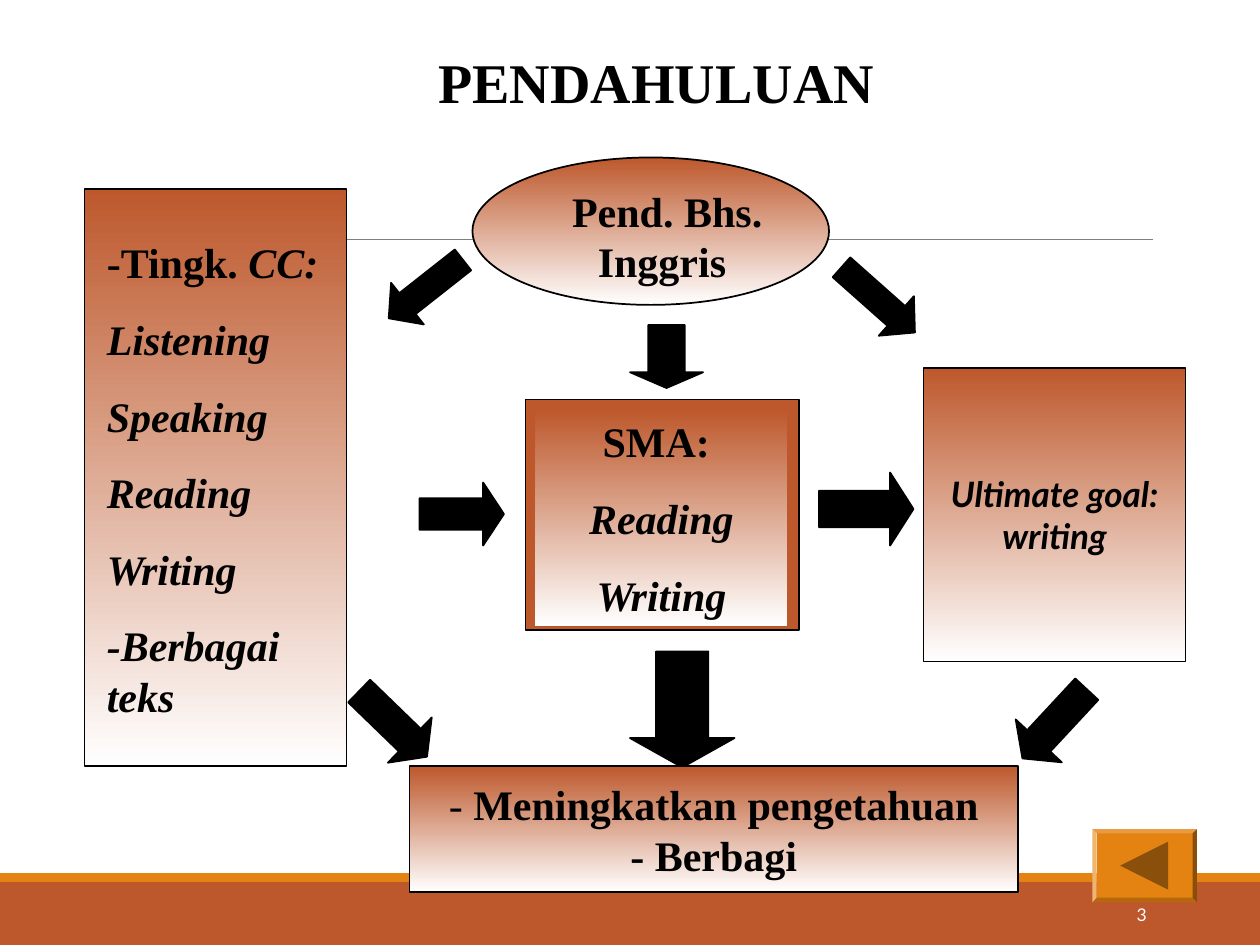
import pptx
import pptx.util
import pptx.dml.color
import pptx.enum.shapes
import pptx.enum.text
import pptx.oxml.ns
from lxml import etree

Inches = pptx.util.Inches
Pt = pptx.util.Pt
RGBColor = pptx.dml.color.RGBColor
Shape = pptx.enum.shapes.MSO_SHAPE
Align = pptx.enum.text.PP_ALIGN
Anchor = pptx.enum.text.MSO_ANCHOR

BLACK = RGBColor(0x00, 0x00, 0x00)
WHITE = RGBColor(0xFF, 0xFF, 0xFF)
RUST = RGBColor(0xBD, 0x58, 0x2C)
ORANGE = RGBColor(0xE4, 0x83, 0x12)
BROWN = RGBColor(0x89, 0x4F, 0x0B)
GRAY = RGBColor(0x7F, 0x7F, 0x7F)

SERIF = "Times New Roman"
SANS = "Lato"


def add_span(para, text, size=24, font=SERIF, color=BLACK, bold=True, italic=False):
    span = para.add_run()
    span.text = text
    span.font.size = Pt(size)
    span.font.name = font
    span.font.color.rgb = color
    span.font.bold = bold
    span.font.italic = italic


class SlideBuilder:
    def __init__(self, slide):
        self.shapes = slide.shapes

    def shape(self, kind, left, top, width, height, fill=RUST, outlined=False):
        shape = self.shapes.add_shape(
            kind, Inches(left), Inches(top), Inches(width), Inches(height))
        self.paint(shape, fill, outlined)
        return shape

    def paint(self, shape, fill, outlined=False):
        shape.shadow.inherit = False
        shape.fill.solid()
        shape.fill.fore_color.rgb = fill
        if outlined:
            shape.line.color.rgb = BLACK
            shape.line.width = Pt(1)
        else:
            shape.line.fill.background()

    def panel(self, kind, left, top, width, height, outlined=True):
        """Add a shape that fades from rust at the top to white."""
        panel = self.shape(kind, left, top, width, height, outlined=outlined)
        panel.fill.gradient()
        panel.fill.gradient_angle = 270
        for stop, color in zip(panel.fill.gradient_stops, (RUST, WHITE)):
            stop.color.rgb = color
        return panel

    def arrow(self, kind, left, top, width, height, head, rotation=0):
        arrow = self.shape(kind, left, top, width, height, BLACK, outlined=True)
        arrow.adjustments[0] = 0.5
        arrow.adjustments[1] = head
        arrow.rotation = rotation

    def rule(self, left, right, top):
        rule = self.shapes.add_connector(
            pptx.enum.shapes.MSO_CONNECTOR.STRAIGHT,
            Inches(left), Inches(top), Inches(right), Inches(top))
        rule.line.color.rgb = GRAY
        rule.line.width = Pt(0.5)
        etree.SubElement(rule._element.spPr, pptx.oxml.ns.qn("a:effectLst"))

    def text_box(self, left, top, width, height, paragraphs, **layout):
        box = self.shapes.add_textbox(
            Inches(left), Inches(top), Inches(width), Inches(height))
        self.set_text(box, paragraphs, **layout)

    def set_text(self, box, paragraphs, align=Align.CENTER, anchor=Anchor.TOP,
                 before=0, wrap=True):
        """Fill a box; each paragraph is a list of (text, format) pairs."""
        frame = box.text_frame
        frame.word_wrap = wrap
        frame.vertical_anchor = anchor
        for index, spans in enumerate(paragraphs):
            para = frame.add_paragraph() if index else frame.paragraphs[0]
            para.alignment = align
            para.space_before = Pt(before)
            for text, style in spans:
                add_span(para, text, **style)

    def back_button(self, left, top, width, height):
        button = self.shape(Shape.BEVEL, left, top, width, height, ORANGE)
        button.adjustments[0] = 0.06
        middle = top + height / 2
        tip, base, half = left + 0.22, left + 0.6, 0.19
        outline = self.shapes.build_freeform(Inches(tip), Inches(middle))
        outline.add_line_segments(
            [(Inches(base), Inches(middle - half)),
             (Inches(base), Inches(middle + half))], close=True)
        self.paint(outline.convert_to_shape(), BROWN)


def main():
    deck = pptx.Presentation()
    deck.slide_width = Inches(10)
    deck.slide_height = Inches(7.5)
    page = SlideBuilder(deck.slides.add_slide(deck.slide_layouts[6]))
    italic = {"italic": True}
    goal = {"size": 20, "font": SANS, "italic": True}

    page.shape(Shape.RECTANGLE, 0, 7, 10, 0.5)
    page.shape(Shape.RECTANGLE, 0, 6.93, 10, 0.07, ORANGE)
    page.rule(0.98, 9.15, 1.9)
    number = {"size": 10, "font": SANS, "color": WHITE, "bold": False}
    page.text_box(8.12, 7.06, 1.08, 0.4, [[("3", number)]],
                  align=Align.RIGHT, anchor=Anchor.MIDDLE)
    page.text_box(2.25, 0.33, 5.92, 0.64, [[("PENDAHULUAN", {"size": 32})]], before=20)

    page.panel(Shape.RECTANGLE, 0.67, 1.5, 2.08, 4.58)
    skills = ["Listening", "Speaking", "Reading", "Writing", "-Berbagai teks"]
    page.text_box(0.75, 1.83, 2, 3.94,
                  [[("-Tingk. ", {}), ("CC:", italic)]]
                  + [[(skill, italic)] for skill in skills],
                  align=Align.LEFT, before=15)

    page.panel(Shape.OVAL, 3.75, 1.25, 2.83, 1.17)
    page.text_box(4.42, 1.42, 1.75, 0.9, [[("Pend. Bhs. Inggris ", {})]], before=15)

    page.shape(Shape.RECTANGLE, 4.17, 3.17, 2.17, 1.83, outlined=True)
    school = page.panel(Shape.RECTANGLE, 4.25, 3.25, 2, 1.72, outlined=False)
    page.set_text(school,
                  [[("SMA: ", {})], [("Reading", italic)], [("Writing", italic)]],
                  before=15)

    target = page.panel(Shape.RECTANGLE, 7.33, 2.92, 2.08, 2.33)
    page.set_text(target, [[("Ultimate goal:", goal)], [("writing", goal)]],
                  anchor=Anchor.MIDDLE, wrap=False)

    arrows = [
        (Shape.DOWN_ARROW, 5, 2.58, 0.58, 0.5, 0.25, 0),
        (Shape.RIGHT_ARROW, 3.33, 3.83, 0.67, 0.5, 0.33, 0),
        (Shape.RIGHT_ARROW, 6.5, 3.75, 0.75, 0.58, 0.32, 0),
        (Shape.DOWN_ARROW, 3.17, 1.92, 0.42, 0.75, 0.45, 51.8),
        (Shape.DOWN_ARROW, 6.76, 1.99, 0.42, 0.78, 0.47, 311.6),
        (Shape.DOWN_ARROW, 5, 5.17, 0.83, 0.92, 0.28, 0),
        (Shape.DOWN_ARROW, 2.87, 5.37, 0.5, 0.75, 0.38, 314.1),
        (Shape.DOWN_ARROW, 8.12, 5.37, 0.5, 0.75, 0.38, 42.9),
    ]
    for arrow in arrows:
        page.arrow(*arrow)

    result = page.panel(Shape.RECTANGLE, 3.25, 6.08, 4.83, 1)
    page.set_text(result,
                  [[("- ", {"bold": False}), ("Meningkatkan pengetahuan", {})],
                   [("- Berbagi", {})]],
                  anchor=Anchor.MIDDLE, wrap=False)
    page.back_button(8.67, 6.58, 0.83, 0.58)

    deck.save("out.pptx")


if __name__ == "__main__":
    main()
